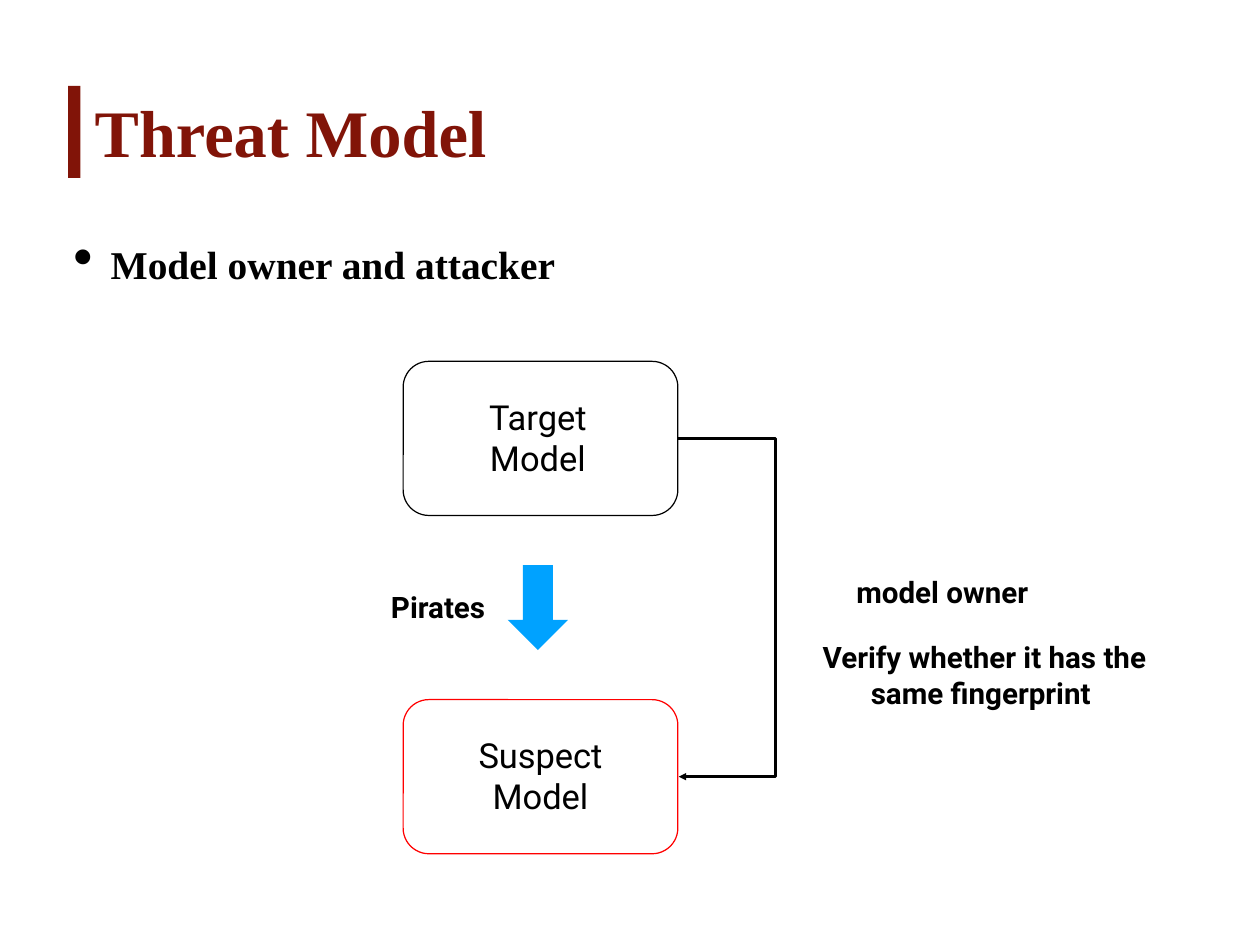
"""Build the Threat Model slide, with places given in percent of its size."""
from typing import NamedTuple

from lxml import etree
from pptx import Presentation, util as u
from pptx.dml.color import RGBColor
from pptx.enum import shapes as sh, text as tx
from pptx.oxml import parse_xml
from pptx.oxml.ns import nsdecls, qn

WIDE, HIGH = u.Inches(14.22), u.Inches(10.67)
BLACK, WINE, RED, BLUE = "000000", "811408", "FF0000", "00A2FF"
SERIF, SANS = "Times New Roman", "Roboto"
LEFT, TOP = 5.41, 9.09
BOX_X, BOX_W, BOX_H = 32, 21.8, 16.31
BOX_TOPS = 38.24, 74.04
BEND = 7.88


class Place(NamedTuple):
    x: float
    y: float
    w: float
    h: float


class Form(NamedTuple):
    kind: sh.MSO_SHAPE
    at: Place
    fill: str | None = None
    line: str | None = None


class Label(NamedTuple):
    words: str
    at: Place
    size: int = 24
    bold: bool = True
    font: str = SANS
    color: str = BLACK
    align: tx.PP_ALIGN = tx.PP_ALIGN.CENTER
    inset: tuple[float, float] = (0.1, 0.05)


TITLE = Label("Threat Model", Place(7.1, TOP, 60.2, 9.56), 54, True,
              SERIF, WINE, tx.PP_ALIGN.LEFT, (0.06, 0.06))
POINT = Label("Model owner and attacker", Place(LEFT, 23.62, 89.1, 6.75), 32,
              True, SERIF, BLACK, tx.PP_ALIGN.JUSTIFY, (0.06, 0.06))
FORMS = [
    Form(sh.MSO_SHAPE.RECTANGLE, Place(LEFT, TOP, 0.98, 9.75), WINE),
    *(Form(sh.MSO_SHAPE.ROUNDED_RECTANGLE, Place(BOX_X, top, BOX_W, BOX_H), None, hue)
      for top, hue in zip(BOX_TOPS, (BLACK, RED))),
    Form(sh.MSO_SHAPE.DOWN_ARROW, Place(40.3, 59.79, 4.78, 9), BLUE),
]
LABELS = [
    Label("Target Model", Place(34.81, 41.42, 15.75, 9.75), 28, False),
    Label("Suspect Model", Place(35.02, 77.23, 15.75, 9.75), 28, False),
    Label("Pirates", Place(24.75, 61.86, 20.04, 4.69)),
    Label("Verify whether it has the same fingerprint ", Place(63.5, 67.2, 29.25, 8.53)),
    Label("model owner ", Place(65.75, 60.26, 18.64, 4.69)),
]


def span(x: float, y: float) -> tuple[int, int]:
    """Turn shares of the slide into lengths."""
    return round(WIDE * x / 100), round(HIGH * y / 100)


def rgb(code: str) -> RGBColor:
    """Read a hex colour."""
    return RGBColor.from_string(code)


def put(thing, values: dict) -> None:
    """Set each named value on a thing."""
    for name, value in values.items():
        setattr(thing, name, value)


def draw(slide, form: Form) -> None:
    """Add one preset shape."""
    at = form.at
    shape = slide.shapes.add_shape(form.kind, *span(at.x, at.y), *span(at.w, at.h))
    shape.shadow.inherit = False
    for paint, hue in ((shape.fill, form.fill), (shape.line.fill, form.line)):
        if hue:
            paint.solid()
            paint.fore_color.rgb = rgb(hue)
        else:
            paint.background()
    if form.line:
        shape.line.width = u.Pt(1)


def write(shape, label: Label):
    """Place and format a text shape, and return its paragraph."""
    at = label.at
    left, top = span(at.x, at.y)
    width, height = span(at.w, at.h)
    put(shape, dict(left=left, top=top, width=width, height=height))
    side, edge = map(u.Inches, label.inset)
    frame = shape.text_frame
    put(frame, dict(word_wrap=True, auto_size=tx.MSO_AUTO_SIZE.NONE,
                    vertical_anchor=tx.MSO_ANCHOR.TOP, margin_left=side,
                    margin_right=side, margin_top=edge, margin_bottom=edge))
    para = frame.paragraphs[0]
    para.alignment = label.align
    run = para.add_run()
    run.text = label.words
    put(run.font, dict(name=label.font, size=u.Pt(label.size), bold=label.bold))
    run.font.color.rgb = rgb(label.color)
    return para


def box(slide, label: Label):
    """Add a text box and return its paragraph."""
    return write(slide.shapes.add_textbox(0, 0, 0, 0), label)


def dot(para) -> None:
    """Give a paragraph a large round bullet."""
    para.line_spacing = u.Pt(48)
    props = para._p.get_or_add_pPr()
    hang = u.Inches(0.42)
    props.set("marL", str(hang))
    props.set("indent", str(-hang))
    for part in (f'<a:buClr {nsdecls("a")}><a:srgbClr val="{BLACK}"/></a:buClr>',
                 f'<a:buSzPct {nsdecls("a")} val="145000"/>',
                 f'<a:buChar {nsdecls("a")} char="•"/>'):
        props.append(parse_xml(part))


def link(slide) -> None:
    """Join the right sides of both boxes with a bent arrow."""
    right = BOX_X + BOX_W
    first, last = (span(right, top + BOX_H / 2) for top in BOX_TOPS)
    gap = u.Inches(0.01)
    line = slide.shapes.add_connector(sh.MSO_CONNECTOR.ELBOW, *first,
                                      last[0] + gap, last[1])
    line.line.width = u.Pt(2)
    line.line.color.rgb = rgb(BLACK)
    props = line._element.spPr
    bend = round(span(BEND, 0)[0] / gap * 100000)
    guides = props.find(qn("a:prstGeom")).get_or_add_avLst()
    etree.SubElement(guides, qn("a:gd"), name="adj1", fmla=f"val {bend}")
    etree.SubElement(props.find(qn("a:ln")), qn("a:tailEnd"), type="triangle")
    etree.SubElement(props, qn("a:effectLst"))


def main() -> None:
    """Build and save the slide."""
    deck = Presentation()
    put(deck, dict(slide_width=WIDE, slide_height=HIGH))
    slide = deck.slides.add_slide(deck.slide_layouts[5])
    write(slide.shapes.title, TITLE)
    dot(box(slide, POINT))
    for form in FORMS:
        draw(slide, form)
    for label in LABELS:
        box(slide, label)
    link(slide)
    deck.save("out.pptx")


if __name__ == "__main__":
    main()
